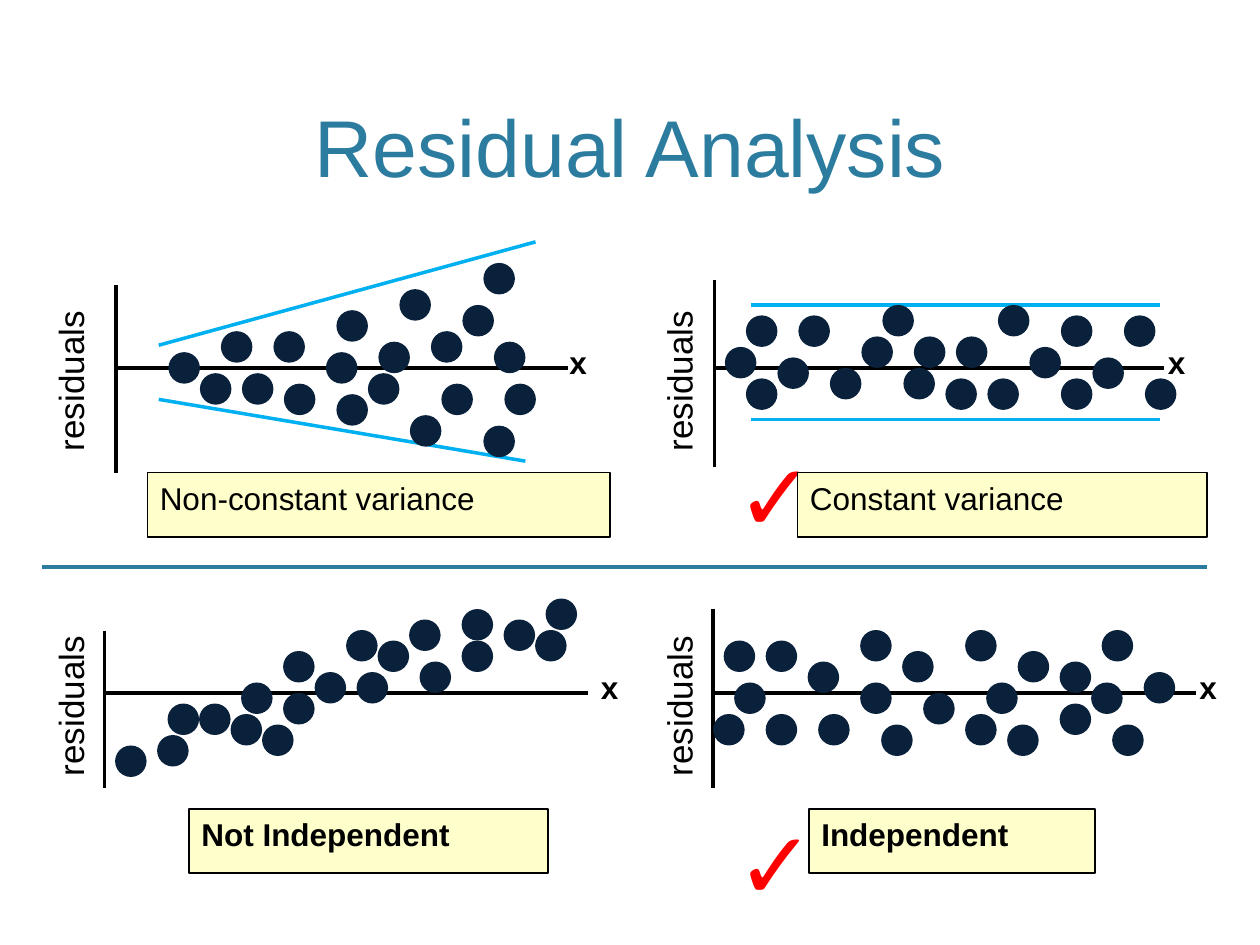
from dataclasses import dataclass
from pptx import Presentation
from pptx.dml.color import RGBColor
from pptx.enum.shapes import MSO_CONNECTOR as CONN, MSO_SHAPE as SHAPE
from pptx.enum.text import MSO_ANCHOR as ANCHOR, PP_ALIGN as ALIGN
from pptx.oxml.ns import qn
from pptx.util import Inches, Pt
from lxml.etree import SubElement


class Theme:
    font = "Arial"
    teal, ink, dot, band = "2C7C9F", "000000", "09213B", "00B0F0"
    caption, check = "FFFFCC", "FF0000"
    title_size, check_size, label_size, body_size = 46, 54, 20, 18
    thin, axis, rule = 1, 2, 2.25


STEP = 1 / 12   # dot grid, inches
DOT = 0.25      # dot diameter, inches
ZERO = 0.72     # drop from the panel top to the zero line


@dataclass
class Panel:
    axis: tuple       # left offset, length, rise above zero, fall below zero
    x_gap: float      # from the axis end to the box of the x label
    caption: tuple    # text, left, top, width, bold
    dots: tuple       # (left edge, centre height above zero) in grid steps
    bands: tuple = ()  # (x1, up1, x2, up2) in inches from the axis origin
    check_top: float = None


FAN = Panel(
    (0.58, 3.59, 0.66, 0.83), -0.09,
    ("Non-constant variance", 0.83, 1.55, 3.67, False),
    ((5, 0), (21, 4), (8, -2), (10, 2), (15, 2), (16, -3), (20, 0),
     (12, -2), (37, -3), (28, -6), (30, 2), (27, 6), (25, 1), (24, -2),
     (21, -4), (33, 4.5), (36, 1), (35, 8.5), (35, -7), (31, -3)),
    bands=((0.34, 0.18, 3.33, 1), (0.34, -0.25, 3.25, -0.74)))
LEVEL = Panel(
    (0.5, 3.57, 0.7, 0.79), -0.07,
    ("Constant variance", 1.16, 1.55, 3.25, False),
    ((3, 3.5), (11, -1.5), (6, -0.5), (8, 3.5), (1, 0.5), (3, -2.5),
     (27, 4.5), (14, 1.5), (16, 4.5), (19, 1.5), (22, -2.5), (18, -1.5),
     (33, 3.5), (23, 1.5), (26, -2.5), (33, -2.5), (30, 0.5), (39, 3.5),
     (36, -0.5), (41, -2.5)),
    bands=((0.29, 0.5, 3.54, 0.5), (0.29, -0.41, 3.54, -0.41)),
    check_top=1.22)
TREND = Panel(
    (0.49, 3.84, 0.49, 0.75), 0,
    ("Not Independent", 1.16, 1.64, 2.85, True),
    ((1, -6.5), (5, -5.5), (26, 3.5), (29, 5.5), (34, 6.5), (12, -3.5),
     (34, 3.5), (38, 5.5), (41, 4.5), (30, 1.5), (20, 0.5), (23, 4.5),
     (17, 2.5), (6, -2.5), (9, -2.5), (15, -4.5), (24, 0.5), (13, -0.5),
     (42, 7.5), (17, -1.5)))
RANDOM = Panel(
    (0.49, 3.83, 0.67, 0.75), -0.07,
    ("Independent", 1.25, 1.64, 2.27, True),
    ((9, 1.5), (5, 3.5), (0, -3.5), (2, -0.5), (1, 3.5), (14, -0.5),
     (14, 4.5), (5, -3.5), (24, 4.5), (18, 2.5), (16, -4.5), (10, -3.5),
     (33, 1.5), (24, -3.5), (20, -1.5), (33, -2.5), (26, -0.5), (28, -4.5),
     (29, 2.5), (38, -4.5), (37, 4.5), (41, 0.5), (36, -0.5)),
    check_top=1.56)


def add_line(s, x1, y1, x2, y2, color, width):
    c = s.shapes.add_connector(
        CONN.STRAIGHT, Inches(x1), Inches(y1), Inches(x2), Inches(y2))
    c.line.color.rgb = RGBColor.from_string(color)
    c.line.width = Pt(width)
    SubElement(c._element.spPr, qn("a:effectLst"))


def add_shape(s, kind, x, y, w, h, fill, line=None):
    sp = s.shapes.add_shape(kind, Inches(x), Inches(y), Inches(w), Inches(h))
    sp.shadow.inherit = False
    sp.fill.solid()
    sp.fill.fore_color.rgb = RGBColor.from_string(fill)
    if line:
        sp.line.color.rgb = RGBColor.from_string(line)
        sp.line.width = Pt(Theme.thin)
    else:
        sp.line.fill.background()
    return sp


def write(sp, text, size, color=Theme.ink, bold=False, align=ALIGN.LEFT,
          anchor=ANCHOR.TOP):
    tf = sp.text_frame
    tf.word_wrap, tf.vertical_anchor = True, anchor
    p = tf.paragraphs[0]
    p.alignment = align
    r = p.add_run()
    r.text = text
    for name, value in {"name": Theme.font, "size": Pt(size),
                        "bold": bold}.items():
        setattr(r.font, name, value)
    r.font.color.rgb = RGBColor.from_string(color)
    return p


def add_text(s, x, y, w, h, text, size, **fmt):
    sp = s.shapes.add_textbox(Inches(x), Inches(y), Inches(w), Inches(h))
    return sp, write(sp, text, size, **fmt)


def add_title(s, x, y, w, h):
    _, p = add_text(s, x, y, w, h, "Residual Analysis", Theme.title_size,
                    color=Theme.teal, align=ALIGN.CENTER, anchor=ANCHOR.BOTTOM)
    p.line_spacing = 0.8


def add_panel(s, x, y, panel):
    offset, length, rise, fall = panel.axis
    x0, y0 = x + offset, y + ZERO

    # Check mark and caption
    if panel.check_top is not None:
        add_text(s, x + 0.58, y + panel.check_top, 1, 1, "✓",
                 Theme.check_size, color=Theme.check)
    text, left, top, width, bold = panel.caption
    box = add_shape(s, SHAPE.RECTANGLE, x + left, y + top, width, 0.51,
                    Theme.caption, Theme.ink)
    write(box, text, Theme.body_size, bold=bold)

    # Axes and bands
    add_line(s, x0, y0 - rise, x0, y0 + fall, Theme.ink, Theme.axis)
    add_line(s, x0, y0, x0 + length, y0, Theme.ink, Theme.axis)
    for x1, up1, x2, up2 in panel.bands:
        add_line(s, x0 + x1, y0 - up1, x0 + x2, y0 - up2,
                 Theme.band, Theme.axis)

    # Residuals
    for col, up in panel.dots:
        add_shape(s, SHAPE.OVAL, x0 + col * STEP, y0 - up * STEP - DOT / 2,
                  DOT, DOT, Theme.dot)

    # Axis labels
    add_text(s, x0 + length + panel.x_gap, y0 - 0.25, 0.5, 0.5, "x",
             Theme.body_size, bold=True)
    label, _ = add_text(s, x - 0.5, y0 - 0.17, 1.43, 0.43, "residuals",
                        Theme.label_size)
    label.rotation = 270


def main():
    prs = Presentation()
    prs.slide_width, prs.slide_height = Inches(10), Inches(7.5)
    s = prs.slides.add_slide(prs.slide_layouts[6])
    add_title(s, 0.6, 0.12, 8.8, 1.46)
    add_line(s, 0.33, 4.5, 9.58, 4.5, Theme.teal, Theme.rule)
    for y, row in zip((2.2, 4.78), ((FAN, LEVEL), (TREND, RANDOM))):
        for x, panel in zip((0.34, 5.17), row):
            add_panel(s, x, y, panel)
    prs.save("out.pptx")


if __name__ == "__main__":
    main()
